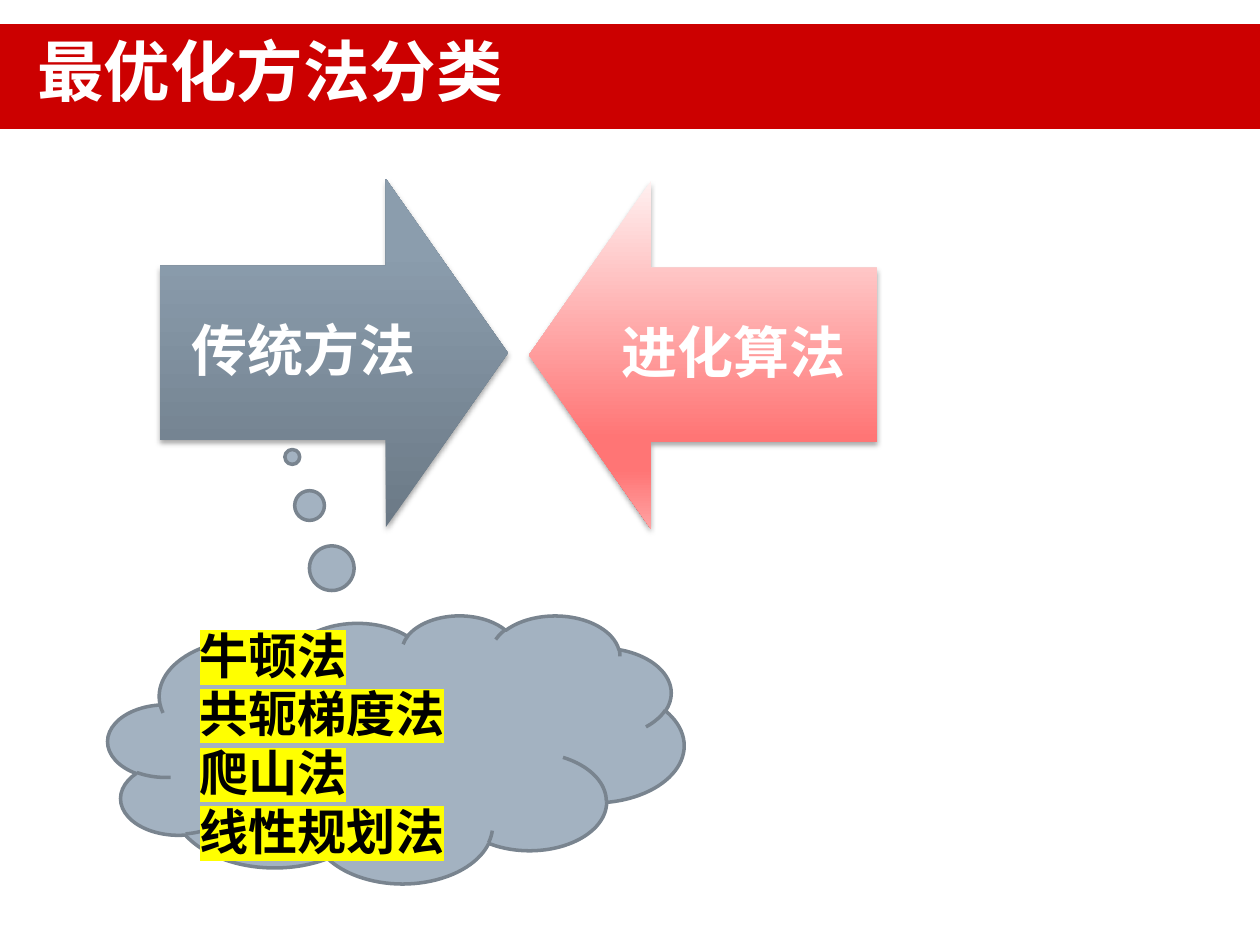
from lxml import etree
from pptx import Presentation
from pptx.dml.color import RGBColor
from pptx.enum.lang import MSO_LANGUAGE_ID
from pptx.enum.shapes import MSO_SHAPE
from pptx.enum.text import MSO_ANCHOR, MSO_AUTO_SIZE, PP_ALIGN
from pptx.oxml.ns import qn
from pptx.util import Pt

PX = 914400 / 126
TITLE_ONLY = 5
LEFT, CENTER = PP_ALIGN.LEFT, PP_ALIGN.CENTER
TOP, MIDDLE = MSO_ANCHOR.TOP, MSO_ANCHOR.MIDDLE
NO_FIT = MSO_AUTO_SIZE.NONE
CHINESE = MSO_LANGUAGE_ID.SIMPLIFIED_CHINESE
CLOUD = MSO_SHAPE.CLOUD_CALLOUT

WHITE = RGBColor(0xFF, 0xFF, 0xFF)
BLACK = RGBColor(0x00, 0x00, 0x00)
RED = RGBColor(0xCC, 0x00, 0x00)
YELLOW = RGBColor(0xFF, 0xFF, 0x00)
CLOUD_FILL = RGBColor(0xA3, 0xB2, 0xC1)
CLOUD_LINE = RGBColor(0x79, 0x84, 0x8F)
SLATE_STOPS = [
    (0, RGBColor(0x6B, 0x79, 0x86)),
    (80, RGBColor(0x8B, 0x9D, 0xAD)),
    (100, RGBColor(0x8B, 0x9E, 0xAF)),
]
PINK_STOPS = [
    (0, RGBColor(0xFF, 0xF0, 0xF0)),
    (74, RGBColor(0xFF, 0x75, 0x75)),
    (83, RGBColor(0xFF, 0x75, 0x75)),
    (100, RGBColor(0xFF, 0xA3, 0xA3)),
]


def px(length):
    return round(length * PX)


def set_all(target, values):
    for name, value in values.items():
        setattr(target, name, value)


def add_node(parent, tag, **attributes):
    values = {name: str(value) for name, value in attributes.items()}
    return etree.SubElement(parent, qn(tag), values)


def add_color(parent, color):
    return add_node(parent, "a:srgbClr", val=color)


def write_lines(frame, lines, size, color, font_name, align, highlight=None):
    for index, line in enumerate(lines):
        para = frame.add_paragraph() if index else frame.paragraphs[0]
        para.alignment = align
        span = para.add_run()
        span.text = line
        span.font.color.rgb = color
        properties = span.font._element
        if highlight is not None:
            add_color(add_node(properties, "a:highlight"), highlight)
        set_all(span.font, {"name": font_name, "size": Pt(size),
                            "bold": True, "language_id": CHINESE})
        add_node(properties, "a:ea", typeface=font_name)


def gradient_fill(shape, stops, angle):
    gradient = etree.Element(qn("a:gradFill"), rotWithShape="1")
    stop_list = add_node(gradient, "a:gsLst")
    for position, color in stops:
        add_color(add_node(stop_list, "a:gs", pos=position * 1000), color)
    add_node(gradient, "a:lin", ang=angle * 60000, scaled=0)
    shape._element.spPr.find(qn("a:ln")).addprevious(gradient)


def drop_shadow(shape):
    shape.shadow.inherit = False
    effects = shape._element.spPr.find(qn("a:effectLst"))
    shadow = add_node(effects, "a:outerShdw", blurRad=40000, dist=23000,
                      dir=5400000, rotWithShape=0)
    add_node(add_color(shadow, BLACK), "a:alpha", val=35000)


def title_bar(page, left, top, width, height, text):
    title = page.shapes.title
    set_all(title, {"left": px(left), "top": px(top),
                    "width": px(width), "height": px(height)})
    title.fill.solid()
    title.fill.fore_color.rgb = RED
    frame = title.text_frame
    set_all(frame, {"vertical_anchor": TOP, "word_wrap": True,
                    "auto_size": NO_FIT, "margin_left": px(37)})
    write_lines(frame, [text], 38, WHITE, "Noto Sans CJK SC", LEFT)


def block_arrow(page, left, top, size, text, stops, angle, points_right):
    shoulder, quarter = 226, size / 4
    outline = [(shoulder, size), (shoulder, size - quarter), (0, size - quarter),
               (0, quarter), (shoulder, quarter), (shoulder, 0), (size, size / 2)]
    corners = [(left + (x if points_right else size - x), top + y)
               for x, y in outline]
    builder = page.shapes.build_freeform(*corners[0], scale=PX)
    builder.add_line_segments(corners[1:], close=True)
    arrow = builder.convert_to_shape()
    arrow.line.fill.background()
    gradient_fill(arrow, stops, angle)
    drop_shadow(arrow)
    tail, head = px(31), px(92)
    frame = arrow.text_frame
    set_all(frame, {
        "vertical_anchor": MIDDLE, "word_wrap": True,
        "margin_left": tail if points_right else head,
        "margin_right": head if points_right else tail,
        "margin_top": px(118), "margin_bottom": px(118),
    })
    write_lines(frame, [text], 32, WHITE, "Arial", CENTER)
    frame.paragraphs[0].line_spacing = 0.9


def thought_cloud(page, left, top, width, height, lines):
    cloud = page.shapes.add_shape(CLOUD, px(left), px(top), px(width), px(height))
    cloud.shadow.inherit = False
    cloud.adjustments[0] = -0.18
    cloud.adjustments[1] = -1.09
    cloud.fill.solid()
    cloud.fill.fore_color.rgb = CLOUD_FILL
    cloud.line.color.rgb = CLOUD_LINE
    cloud.line.width = Pt(2)
    set_all(cloud.text_frame, {"vertical_anchor": MIDDLE, "word_wrap": True})
    write_lines(cloud.text_frame, lines, 28, BLACK, "Arial", LEFT, YELLOW)


def main():
    deck = Presentation()
    set_all(deck, {"slide_width": px(1260), "slide_height": px(945)})
    page = deck.slides.add_slide(deck.slide_layouts[TITLE_ONLY])
    title_bar(page, 0, 24, 1260, 105, "最优化方法分类")
    block_arrow(page, 160, 179, 348, "传统方法", SLATE_STOPS, 270, True)
    block_arrow(page, 529, 181, 348, "进化算法", PINK_STOPS, 90, False)
    thought_cloud(page, 108, 615, 576, 268,
                  ["牛顿法", "共轭梯度法", "爬山法", "线性规划法"])
    deck.save("out.pptx")


if __name__ == "__main__":
    main()
